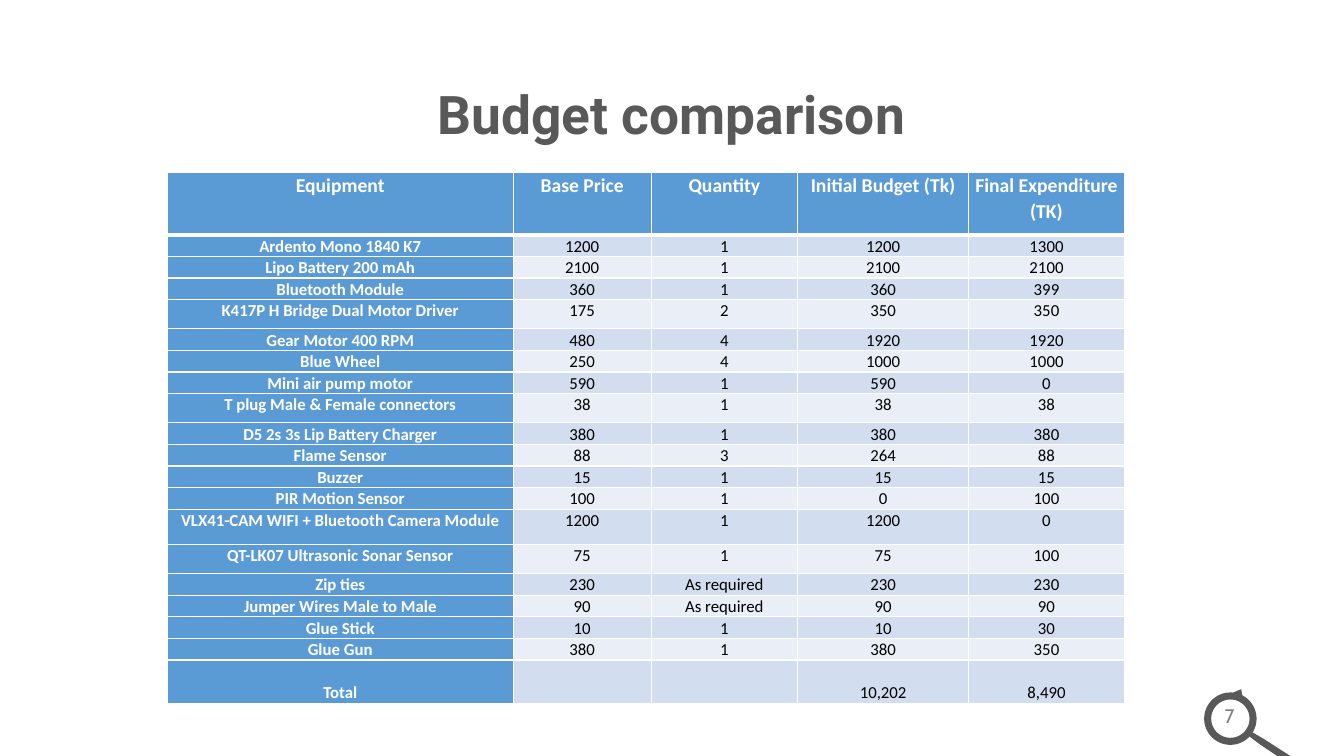
import math
import pptx
import pptx.util
import pptx.dml.color
import pptx.enum.shapes
import pptx.enum.text
import pptx.oxml
from pptx.util import Inches

HUES = {"white": "FFFFFF", "black": "000000", "dark": "595959", "gray": "808080",
        "blue": "5B9BD5", "band": "D2DEEF", "pale": "EAEFF7"}
NS = "http://schemas.openxmlformats.org/drawingml/2006/main"


def hue(name):
    return pptx.dml.color.RGBColor.from_string(HUES[name])


def write(frame, text, font, size, color, bold=False, space=1.0):
    para = frame.paragraphs[0]
    para.alignment = pptx.enum.text.PP_ALIGN.CENTER
    para.line_spacing = space
    run = para.add_run()
    run.text = text
    run.font.name = font
    run.font.size = pptx.util.Pt(size)
    run.font.bold = bold
    run.font.color.rgb = hue(color)


deck = pptx.Presentation()
deck.slide_width, deck.slide_height = Inches(13.33), Inches(7.5)
slide = deck.slides.add_slide(deck.slide_layouts[5])

title = slide.shapes.title
title.left, title.top = Inches(1.66), Inches(0.75)
title.width, title.height = Inches(10), Inches(0.82)
title.text_frame.word_wrap = True
title.text_frame.vertical_anchor = pptx.enum.text.MSO_ANCHOR.MIDDLE
write(title.text_frame, "Budget comparison", "Roboto", 38, "dark", True, 0.9)

badge = slide.shapes.add_textbox(Inches(11.89), Inches(6.93), Inches(0.61), Inches(0.34))
badge.text_frame.word_wrap = True
write(badge.text_frame, "7", "Cabin", 14, "gray")

arrow = slide.shapes.add_shape(pptx.enum.shapes.MSO_SHAPE.RIGHT_ARROW,
                               Inches(12.23), Inches(6.83), Inches(0.11), Inches(0.11))
arrow.adjustments[0], arrow.adjustments[1] = 0.32, 0.64
arrow.rotation = 298.7

hub = (12.2, 7.12)
pivot = (12.41, 7.3)
tilt = 68.4
grip = [(12.41, 7.25), (12.53, 7.32), (12.92, 7.57), (12.93, 7.6),
        (12.92, 7.62), (12.89, 7.64), (12.5, 7.38), (12.38, 7.29)]
rings = []
for radius, start, stop in [(0.26, 44, 390), (0.19, 360, 0)]:
    angles = [math.radians(start + (stop - start) * step / 60) for step in range(61)]
    rings.append([(hub[0] + radius * math.cos(a), hub[1] + radius * math.sin(a)) for a in angles])
rings[0] += grip

turn = math.radians(-tilt)
pen = None
for ring in rings:
    spots = []
    for x, y in ring:
        dx, dy = x - pivot[0], y - pivot[1]
        spots.append((Inches(pivot[0] + dx * math.cos(turn) - dy * math.sin(turn)),
                      Inches(pivot[1] + dx * math.sin(turn) + dy * math.cos(turn))))
    if pen is None:
        pen = slide.shapes.build_freeform(*spots[0])
    else:
        pen.move_to(*spots[0])
    pen.add_line_segments(spots[1:], close=True)
lens = pen.convert_to_shape()
lens.rotation = tilt

for shape in (arrow, lens):
    shape.shadow.inherit = False
    shape.fill.solid()
    shape.fill.fore_color.rgb = hue("dark")
    shape.line.fill.background()

rows = [
    ("Equipment", "Base Price", "Quantity", "Initial Budget (Tk)", "Final Expenditure (TK)"),
    ("Ardento Mono 1840 K7", "1200", "1", "1200", "1300"),
    ("Lipo Battery 200 mAh", "2100", "1", "2100", "2100"),
    ("Bluetooth Module", "360", "1", "360", "399"),
    ("K417P H Bridge Dual Motor Driver", "175", "2", "350", "350"),
    ("Gear Motor 400 RPM", "480", "4", "1920", "1920"),
    ("Blue Wheel", "250", "4", "1000", "1000"),
    ("Mini air pump motor", "590", "1", "590", "0"),
    ("T plug Male & Female connectors", "38", "1", "38", "38"),
    ("D5 2s 3s Lip Battery Charger", "380", "1", "380", "380"),
    ("Flame Sensor", "88", "3", "264", "88"),
    ("Buzzer", "15", "1", "15", "15"),
    ("PIR Motion Sensor", "100", "1", "0", "100"),
    ("VLX41-CAM WIFI + Bluetooth Camera Module", "1200", "1", "1200", "0"),
    ("QT-LK07 Ultrasonic Sonar Sensor", "75", "1", "75", "100"),
    ("Zip ties", "230", "As required", "230", "230"),
    ("Jumper Wires Male to Male", "90", "As required", "90", "90"),
    ("Glue Stick", "10", "1", "10", "30"),
    ("Glue Gun", "380", "1", "380", "350"),
    ("Total", "", "", "10,202", "8,490"),
]
last = len(rows) - 1
tall = {0: 0.62, 4: 0.29, 8: 0.29, 13: 0.35, 14: 0.29, last: 0.43}
table = slide.shapes.add_table(len(rows), 5, Inches(1.66), Inches(1.71),
                               Inches(9.49), Inches(5.13)).table
for col, width in zip(table.columns, (3.43, 1.37, 1.45, 1.7, 1.54)):
    col.width = Inches(width)

for r, row in enumerate(rows):
    table.rows[r].height = Inches(tall.get(r, 0.17))
    for c, text in enumerate(row):
        cell = table.cell(r, c)
        cell.margin_left = cell.margin_right = Inches(0.06)
        cell.margin_top = cell.margin_bottom = 0
        if r == last:
            cell.vertical_anchor = pptx.enum.text.MSO_ANCHOR.BOTTOM
        props = cell._tc.get_or_add_tcPr()
        for side in "LRTB":
            thick = (r, side) in ((0, "B"), (1, "T"))
            props.append(pptx.oxml.parse_xml(
                f'<a:ln{side} xmlns:a="{NS}" w="{38100 if thick else 12700}"><a:solidFill>'
                f'<a:srgbClr val="{HUES["white"]}"/></a:solidFill></a:ln{side}>'))
        head = r == 0 or c == 0
        cell.fill.solid()
        cell.fill.fore_color.rgb = hue("blue" if head else "band" if r % 2 else "pale")
        if text:
            write(cell.text_frame, text, "Calibri", 14 if r == 0 else 12,
                  "white" if head else "black", head, 1.07)

deck.save("out.pptx")
